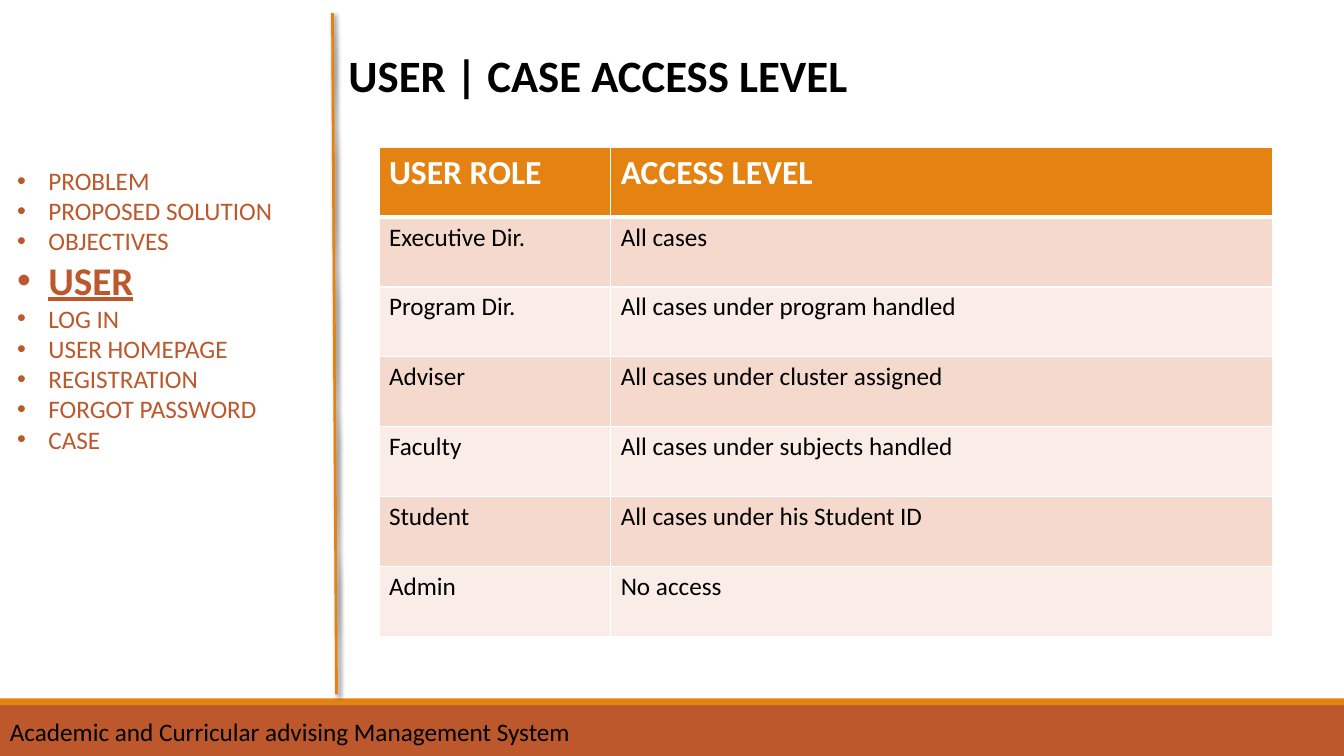
from lxml.etree import SubElement
from pptx import Presentation
from pptx.dml.color import RGBColor
from pptx.enum.shapes import MSO_CONNECTOR, MSO_SHAPE
from pptx.oxml.ns import qn
from pptx.util import Cm, Pt

ORANGE, RUST, BLACK, WHITE = "E48312", "BD582C", "000000", "FFFFFF"
BANDS = ["F5D9CC", "FAEDE7"]
BODY = {"name": "Calibri", "size": Pt(18), "bold": False}
HEADING = BODY | {"size": Pt(24), "bold": True}
TITLE = HEADING | {"size": Pt(32)}
CURRENT = HEADING | {"size": Pt(28), "underline": True}

TOPICS = ["PROBLEM", "PROPOSED SOLUTION", "OBJECTIVES", "USER", "LOG IN",
          "USER HOMEPAGE", "REGISTRATION", "FORGOT PASSWORD", "CASE"]
ACCESS = [
    ("USER ROLE", "ACCESS LEVEL"),
    ("Executive Dir.", "All cases"),
    ("Program Dir.", "All cases under program handled"),
    ("Adviser", "All cases under cluster assigned"),
    ("Faculty", "All cases under subjects handled"),
    ("Student", "All cases under his Student ID"),
    ("Admin", "No access"),
]


def color(value):
    """Turn a hex string into a colour."""
    return RGBColor.from_string(value)


def paint(fill, value):
    """Make a fill solid in one colour."""
    fill.solid()
    fill.fore_color.rgb = color(value)


def write(para, text, style, ink):
    """Add a styled span to a paragraph."""
    span = para.add_run()
    span.text = text
    for name, value in style.items():
        setattr(span.font, name, value)
    span.font.color.rgb = color(ink)


def add_frame(page, left, top, width, height):
    """Add a wrapping text box and return its text frame."""
    frame = page.shapes.add_textbox(Cm(left), Cm(top), Cm(width), Cm(height)).text_frame
    frame.word_wrap = True
    return frame


def add_bar(page, left, top, width, height, value):
    """Add a plain filled rectangle."""
    bar = page.shapes.add_shape(MSO_SHAPE.RECTANGLE, Cm(left), Cm(top), Cm(width), Cm(height))
    bar.shadow.inherit = False
    paint(bar.fill, value)
    bar.line.fill.background()


def add_footer(page, left, top, width, height):
    """Draw the footer band, its accent strip and the system name."""
    strip = 0.17
    add_bar(page, left, top + strip, width, height - strip, RUST)
    add_bar(page, left, top, width, strip, ORANGE)
    frame = add_frame(page, left, top + 0.4, 26.6, 0.92)
    frame.margin_left = frame.margin_right = Cm(0)
    para = frame.paragraphs[0]
    para.line_spacing = 0.9
    properties = para._p.get_or_add_pPr()
    properties.set("marL", str(Cm(0.25)))
    properties.set("indent", "0")
    write(para, "Academic and Curricular advising Management System", BODY, BLACK)


def add_divider(page, left, top, width, height):
    """Draw the slightly slanted divider with its soft shadow."""
    line = page.shapes.add_connector(
        MSO_CONNECTOR.STRAIGHT, Cm(left), Cm(top), Cm(left + width), Cm(top + height))
    line.line.color.rgb = color(ORANGE)
    line.line.width = Pt(2)
    effects = SubElement(line._element.spPr, qn("a:effectLst"))
    shadow = SubElement(effects, qn("a:outerShdw"), blurRad=str(Pt(3)), dist=str(Pt(2)),
                        dir="2700000", algn="tl", rotWithShape="0")
    tint = SubElement(shadow, qn("a:srgbClr"), val=BLACK)
    SubElement(tint, qn("a:alpha"), val="60000")


def add_title(page, left, top, width, height):
    """Write the slide title."""
    frame = add_frame(page, left, top, width, height)
    write(frame.paragraphs[0], "USER | CASE ACCESS LEVEL", TITLE, BLACK)


def add_borders(cell, widths):
    """Give a cell white borders of the given widths by side."""
    properties = cell._tc.get_or_add_tcPr()
    for side, width in widths.items():
        border = SubElement(properties, qn(f"a:ln{side}"), w=str(Pt(width)))
        fill = SubElement(border, qn("a:solidFill"))
        SubElement(fill, qn("a:srgbClr"), val=WHITE)


def add_access_table(page, left, top, width, height):
    """Draw the table of roles and access levels."""
    table = page.shapes.add_table(
        len(ACCESS), 2, Cm(left), Cm(top), Cm(width), Cm(height)).table
    role_width = 5.84
    table.columns[0].width = Cm(role_width)
    table.columns[1].width = Cm(width - role_width)
    for index, texts in enumerate(ACCESS):
        table.rows[index].height = Cm(height / len(ACCESS))
        header = index == 0
        style, ink = (HEADING, WHITE) if header else (BODY, BLACK)
        shade = ORANGE if header else BANDS[(index - 1) % 2]
        widths = {"L": 1, "R": 1, "T": 3 if index == 1 else 1, "B": 3 if header else 1}
        for column, text in enumerate(texts):
            cell = table.cell(index, column)
            add_borders(cell, widths)
            paint(cell.fill, shade)
            write(cell.text_frame.paragraphs[0], text, style, ink)


def add_topics(page, left, top, width, height, current):
    """List the topics with the current one emphasised."""
    frame = add_frame(page, left, top, width, height)
    for index, topic in enumerate(TOPICS):
        para = frame.add_paragraph() if index else frame.paragraphs[0]
        properties = para._p.get_or_add_pPr()
        properties.set("marL", str(Cm(0.79)))
        properties.set("indent", str(-Cm(0.79)))
        SubElement(properties, qn("a:buFont"), typeface="Arial")
        SubElement(properties, qn("a:buChar"), char="•")
        write(para, topic, CURRENT if topic == current else BODY, RUST)


def main():
    """Build and save the slide."""
    deck = Presentation()
    deck.slide_width, deck.slide_height = Cm(33.87), Cm(19.05)
    page = deck.slides.add_slide(deck.slide_layouts[6])
    paint(page.background.fill, WHITE)
    add_footer(page, 0, 17.6, 33.87, 1.45)
    add_divider(page, 8.38, 0.33, 0.1, 17.17)
    add_title(page, 8.53, 1.09, 13.59, 1.63)
    add_access_table(page, 9.55, 3.71, 22.53, 12.32)
    add_topics(page, 0.18, 4.04, 8.36, 8.28, "USER")
    deck.save("out.pptx")


if __name__ == "__main__":
    main()
